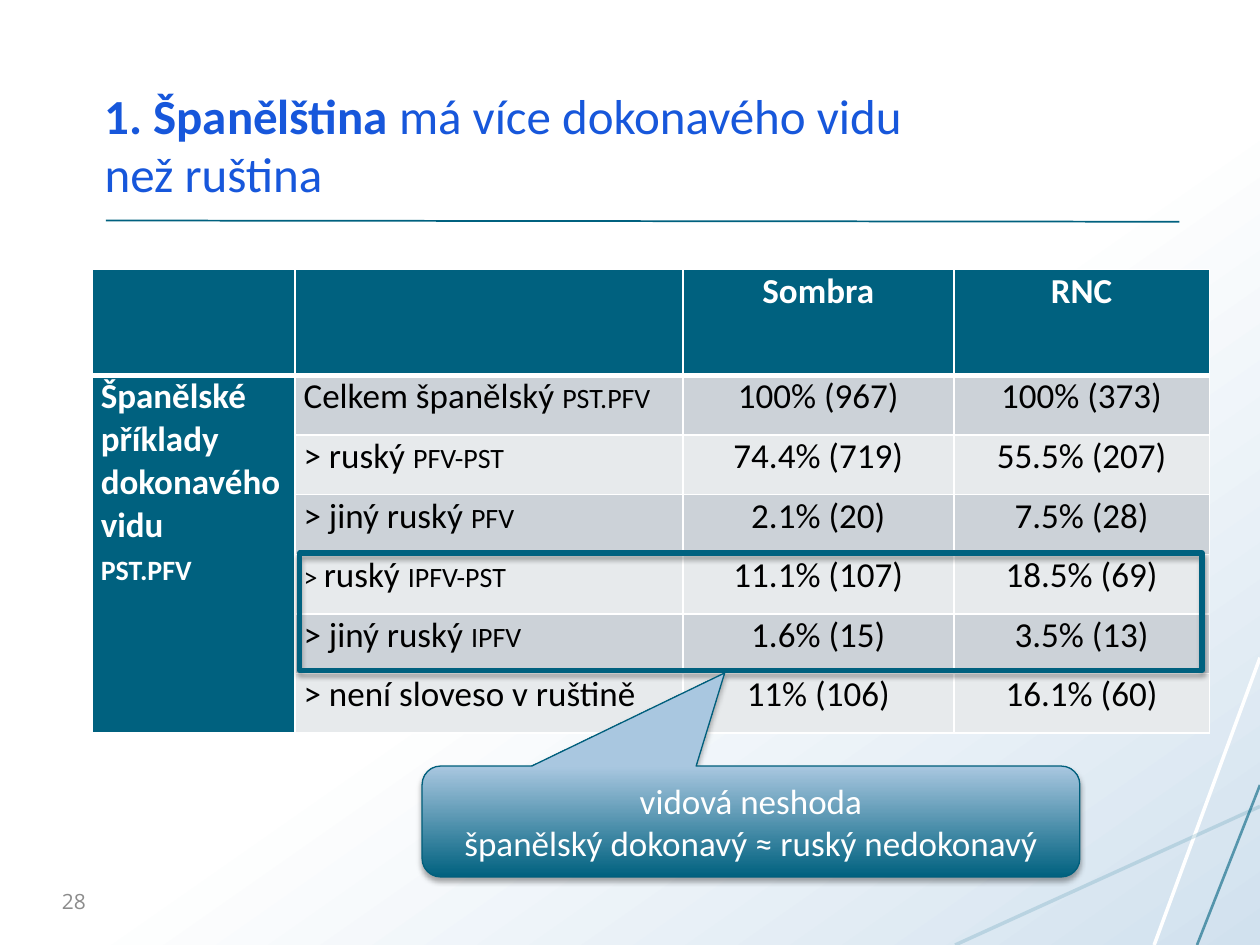
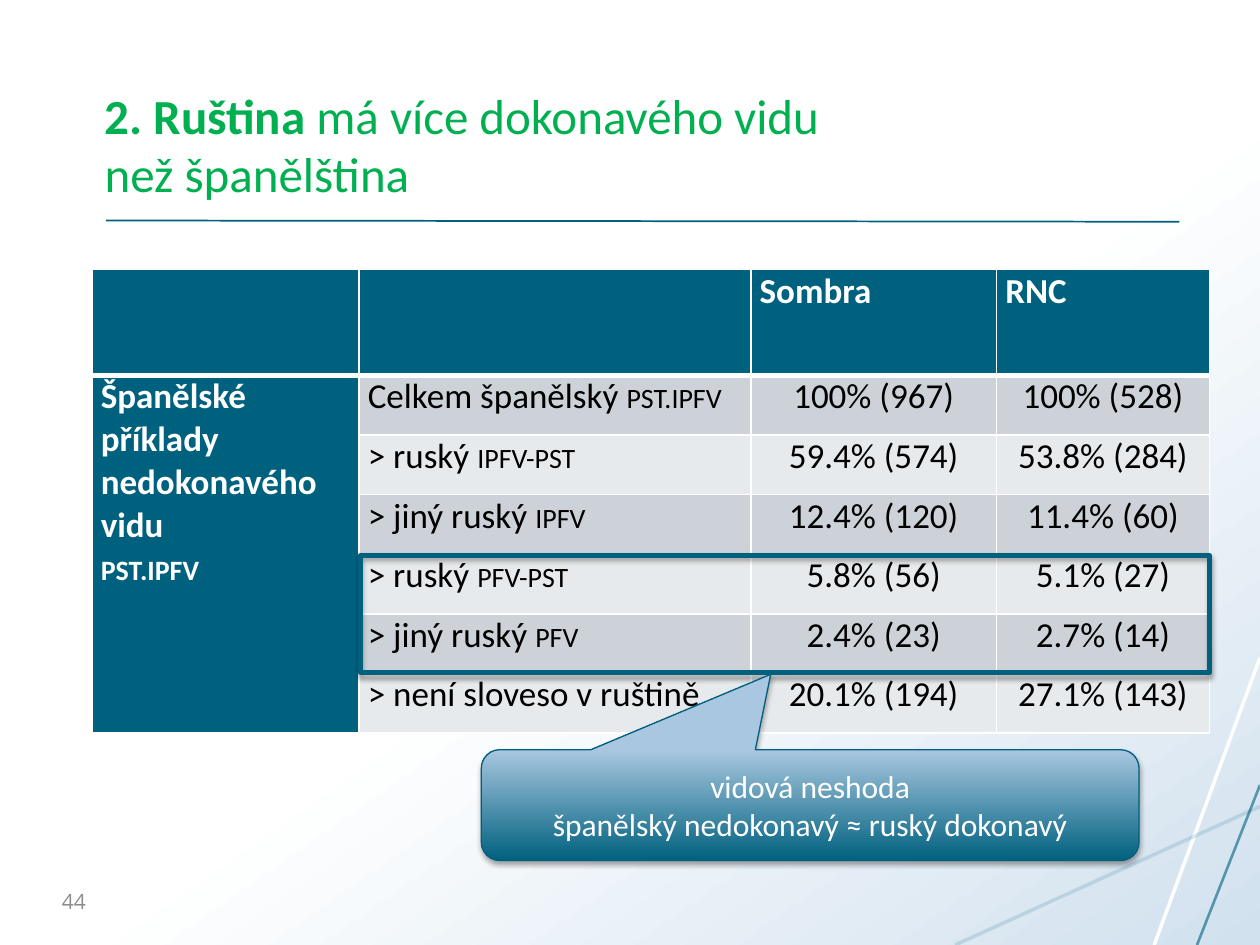
import pptx
import pptx.util
import pptx.dml.color
import pptx.enum.shapes
import pptx.enum.text
import pptx.oxml.ns
from lxml import etree
from pptx.util import Inches, Pt

RGBColor = pptx.dml.color.RGBColor
PP_ALIGN = pptx.enum.text.PP_ALIGN
MSO_ANCHOR = pptx.enum.text.MSO_ANCHOR
MSO_SHAPE = pptx.enum.shapes.MSO_SHAPE
qn = pptx.oxml.ns.qn

WHITE = RGBColor(0xFF, 0xFF, 0xFF)
BLACK = RGBColor(0, 0, 0)
TEAL = RGBColor(0x00, 0x61, 0x7F)
CALLOUT_EDGE = RGBColor(0x00, 0x5F, 0x7C)
LIGHT_TEAL = RGBColor(0x15, 0x71, 0x8F)
SKY = RGBColor(0xA9, 0xC7, 0xE0)
PALE_SKY = RGBColor(0xD1, 0xE1, 0xEE)
BAND_DARK = RGBColor(0xCC, 0xD2, 0xD8)
BAND_LIGHT = RGBColor(0xE7, 0xEA, 0xEC)
GREY = RGBColor(0x8C, 0x8C, 0x8C)
BLUE = RGBColor(0x17, 0x57, 0xDB)
GREEN = RGBColor(0x00, 0xB0, 0x50)

FONT = "Calibri"
TABLE_LEFT, TABLE_TOP, TABLE_WIDTH, TABLE_HEIGHT = 0.73, 2.14, 8.87, 3.68
HEADER_HEIGHT = 0.84
DECOR_LINES = [
    (10, 5.22, 9.16, 7.5, WHITE, 2, 100),
    (10, 6.4, 7.58, 7.5, LIGHT_TEAL, 2, 16),
    (10, 6.23, 9.5, 7.5, TEAL, 1.5, 60),
    (0.84, 1.75, 9.36, 1.76, TEAL, 1, 100),
]

PERFECTIVE_ROWS = [
    ("Celkem španělský |pst.pfv", "100% (967)", "100% (373)"),
    ("> ruský |pfv-pst", "74.4% (719)", "55.5% (207)"),
    ("> jiný ruský |pfv", "2.1% (20)", "7.5% (28)"),
    ("|> |ruský |ipfv-pst", "11.1% (107)", "18.5% (69)"),
    ("> jiný ruský |ipfv", "1.6% (15)", "3.5% (13)"),
    ("> není sloveso v ruštině", "11% (106)", "16.1% (60)"),
]
IMPERFECTIVE_ROWS = [
    ("Celkem španělský |pst.ipfv", "100% (967)", "100% (528)"),
    ("> ruský |ipfv-pst", "59.4% (574)", "53.8% (284)"),
    ("> jiný ruský |ipfv", "12.4% (120)", "11.4% (60)"),
    ("> ruský |pfv-pst", "5.8% (56)", "5.1% (27)"),
    ("> jiný ruský |pfv", "2.4% (23)", "2.7% (14)"),
    ("> není sloveso v ruštině", "20.1% (194)", "27.1% (143)"),
]


def format_font(p, size, color, bold=None, name=FONT):
    p.font.size = Pt(size)
    p.font.name = name
    p.font.color.rgb = color
    if bold is not None:
        p.font.bold = bold


def set_gradient(fill, angle, stops):
    fill.gradient()
    fill.gradient_angle = angle
    for stop, (position, color) in zip(fill.gradient_stops, stops):
        stop.position = position
        stop.color.rgb = color


def add_soft_shadow(sp):
    sp.shadow.inherit = False
    effects = sp._element.spPr.find(qn("a:effectLst"))
    shadow = etree.SubElement(
        effects, qn("a:outerShdw"), blurRad=str(Pt(3.1)),
        dist=str(Pt(1.8)), dir="5400000", rotWithShape="0")
    color = etree.SubElement(shadow, qn("a:srgbClr"), val=str(BLACK))
    etree.SubElement(color, qn("a:alpha"), val="35000")


def add_line(s, x1, y1, x2, y2, color, width, opacity):
    line = s.shapes.add_connector(
        pptx.enum.shapes.MSO_CONNECTOR.STRAIGHT,
        Inches(x1), Inches(y1), Inches(x2), Inches(y2))
    line.line.color.rgb = color
    line.line.width = Pt(width)
    spPr = line._element.spPr
    if opacity < 100:
        srgb = spPr.find(".//" + qn("a:srgbClr"))
        etree.SubElement(srgb, qn("a:alpha"), val=str(opacity * 1000))
    etree.SubElement(spPr, qn("a:effectLst"))


def set_title(s, strong, first_line, second_line, color):
    title = s.shapes.title
    title.left, title.top = Inches(0.73), Inches(0.33)
    title.width, title.height = Inches(8.62), Inches(1.33)
    tf = title.text_frame
    tf.vertical_anchor = MSO_ANCHOR.BOTTOM
    p = tf.paragraphs[0]
    p.alignment = PP_ALIGN.LEFT
    format_font(p, 28, color)
    r = p.add_run()
    r.text = strong
    r.font.bold = True
    p.add_run().text = first_line
    p.add_line_break()
    p.add_run().text = second_line


def add_slide_number(s, number):
    box = s.shapes.add_textbox(
        Inches(0.36), Inches(6.95), Inches(0.42), Inches(0.4))
    tf = box.text_frame
    tf.word_wrap = True
    tf.vertical_anchor = MSO_ANCHOR.MIDDLE
    p = tf.paragraphs[0]
    p.text = number
    p.alignment = PP_ALIGN.RIGHT
    format_font(p, 12, GREY, name="Open Sans")


def add_slide(prs, title, number):
    s = prs.slides.add_slide(prs.slide_layouts[5])
    for line in DECOR_LINES:
        add_line(s, *line)
    set_title(s, *title)
    add_slide_number(s, number)
    return s


def style_cell(cell, fill, top, bottom):
    cell.margin_left = cell.margin_right = Inches(0.07)
    cell.margin_top = cell.margin_bottom = 0
    tcPr = cell._tc.get_or_add_tcPr()
    for side, width in (("L", 1), ("R", 1), ("T", top), ("B", bottom)):
        ln = etree.SubElement(tcPr, qn("a:ln" + side), w=str(Pt(width)))
        solid = etree.SubElement(ln, qn("a:solidFill"))
        etree.SubElement(solid, qn("a:srgbClr"), val=str(WHITE))
    cell.fill.solid()
    cell.fill.fore_color.rgb = fill


def write_cell(cell, lines, color, bold, align):
    tf = cell.text_frame
    for i, line in enumerate(lines):
        p = tf.add_paragraph() if i else tf.paragraphs[0]
        p.alignment = align
        format_font(p, 20, color, bold)
        for j, part in enumerate(line.split("|")):
            if part:
                r = p.add_run()
                r.text = part
                if j % 2:
                    r._r.get_or_add_rPr().set("cap", "small")


def add_aspect_table(s, widths, header_align, group, rows):
    table = s.shapes.add_table(
        len(rows) + 1, len(widths), Inches(TABLE_LEFT), Inches(TABLE_TOP),
        Inches(TABLE_WIDTH), Inches(TABLE_HEIGHT)).table
    for column, width in zip(table.columns, widths):
        column.width = Inches(width)
    for i, row in enumerate(table.rows):
        row.height = Inches((TABLE_HEIGHT - HEADER_HEIGHT) / len(rows)
                            if i else HEADER_HEIGHT)
        band = BAND_DARK if i % 2 else BAND_LIGHT
        for j, cell in enumerate(row.cells):
            style_cell(cell, band if i and j else TEAL,
                       3 if i == 1 else 1, 1 if i else 3)
    for j, text in enumerate(("Sombra", "RNC"), 2):
        write_cell(table.cell(0, j), [text], WHITE, True, header_align)
    table.cell(1, 0).merge(table.cell(len(rows), 0))
    write_cell(table.cell(1, 0), group, WHITE, True, PP_ALIGN.LEFT)
    for i, values in enumerate(rows, 1):
        for j, text in enumerate(values, 1):
            align = PP_ALIGN.LEFT if j == 1 else PP_ALIGN.CENTER
            write_cell(table.cell(i, j), [text], BLACK, False, align)


def add_highlight(s, left, top, width):
    sp = s.shapes.add_shape(MSO_SHAPE.RECTANGLE, Inches(left), Inches(top),
                            Inches(width), Inches(0.93))
    sp.fill.background()
    sp.line.color.rgb = TEAL
    sp.line.width = Pt(3)
    add_soft_shadow(sp)


def add_callout(s, left, top, tip, size, mismatch):
    sp = s.shapes.add_shape(MSO_SHAPE.ROUNDED_RECTANGULAR_CALLOUT,
                            Inches(left), Inches(top),
                            Inches(5.22), Inches(0.88))
    sp.adjustments[0], sp.adjustments[1] = tip
    set_gradient(sp.fill, 90, [(0, TEAL), (1, SKY)])
    sp.line.color.rgb = CALLOUT_EDGE
    sp.line.width = Pt(0.75)
    add_soft_shadow(sp)
    tf = sp.text_frame
    tf.word_wrap = True
    tf.vertical_anchor = MSO_ANCHOR.MIDDLE
    tf.text = "vidová neshoda\n" + mismatch
    for p in tf.paragraphs:
        p.alignment = PP_ALIGN.CENTER
        format_font(p, size, WHITE)


def main():
    prs = pptx.Presentation()
    prs.slide_width, prs.slide_height = Inches(10), Inches(7.5)
    set_gradient(prs.slide_master.background.fill, 305,
                 [(0.54, WHITE), (1, PALE_SKY)])

    s = add_slide(prs, ("1. Španělština ", "má více dokonavého vidu ",
                        "než ruština", BLUE), "28")
    add_aspect_table(s, (1.61, 3.08, 2.15, 2.03), PP_ALIGN.CENTER,
                     ["Španělské příklady dokonavého vidu", "|pst.pfv"],
                     PERFECTIVE_ROWS)
    add_highlight(s, 2.38, 4.39, 7.16)
    add_callout(s, 3.35, 6.08, (-0.04, -1.34), 20,
                "španělský dokonavý ≈ ruský nedokonavý")

    s = add_slide(prs, ("2. Ruština ", "má více dokonavého vidu ",
                        "než španělština", GREEN), "44")
    add_aspect_table(s, (2.12, 3.11, 1.95, 1.69), PP_ALIGN.LEFT,
                     ["Španělské příklady nedokonavého vidu", "|pst.ipfv"],
                     IMPERFECTIVE_ROWS)
    add_highlight(s, 2.86, 4.41, 6.74)
    add_callout(s, 3.82, 5.95, (-0.06, -1.18), 18,
                "španělský nedokonavý ≈ ruský dokonavý")

    prs.save("out.pptx")


if __name__ == "__main__":
    main()
